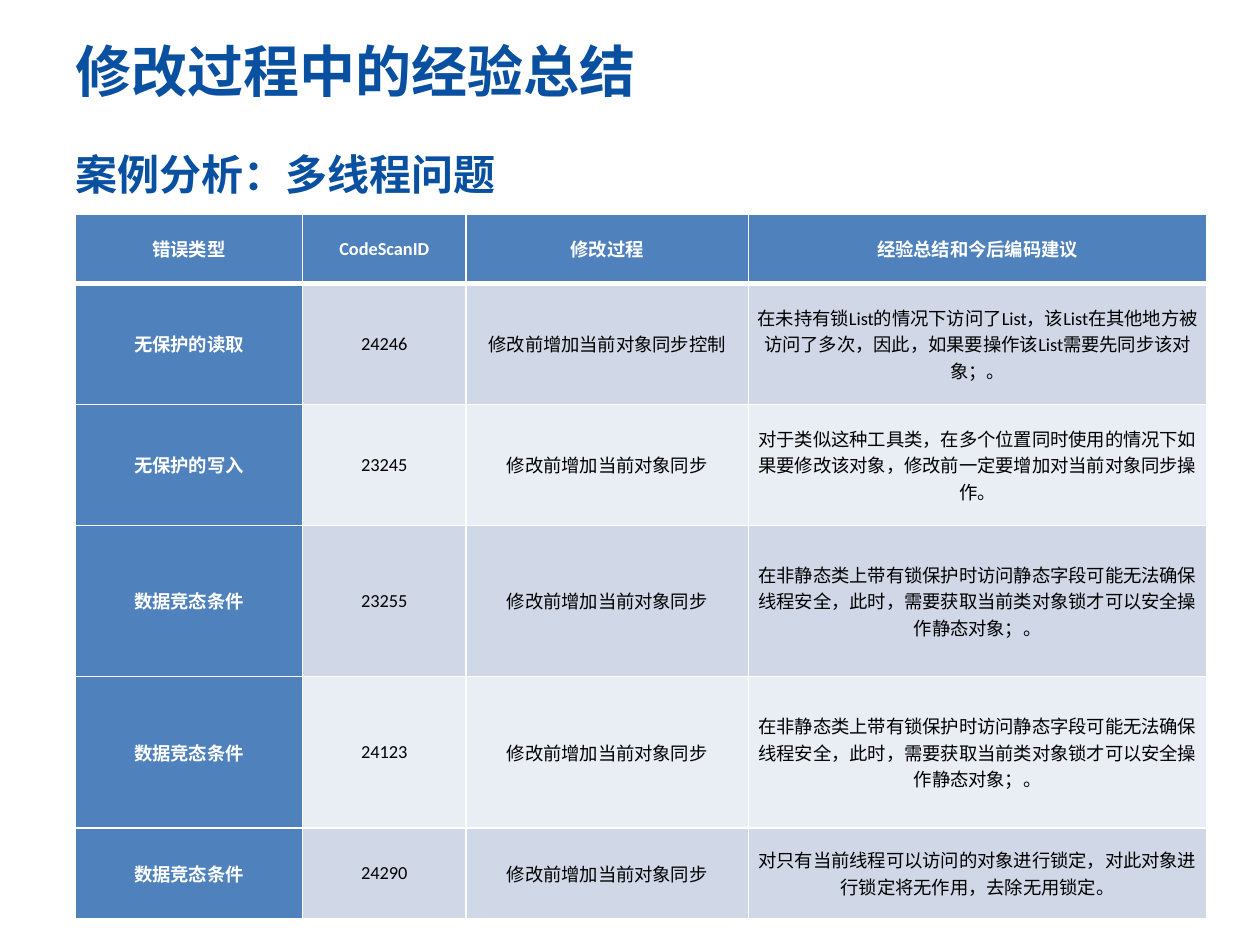
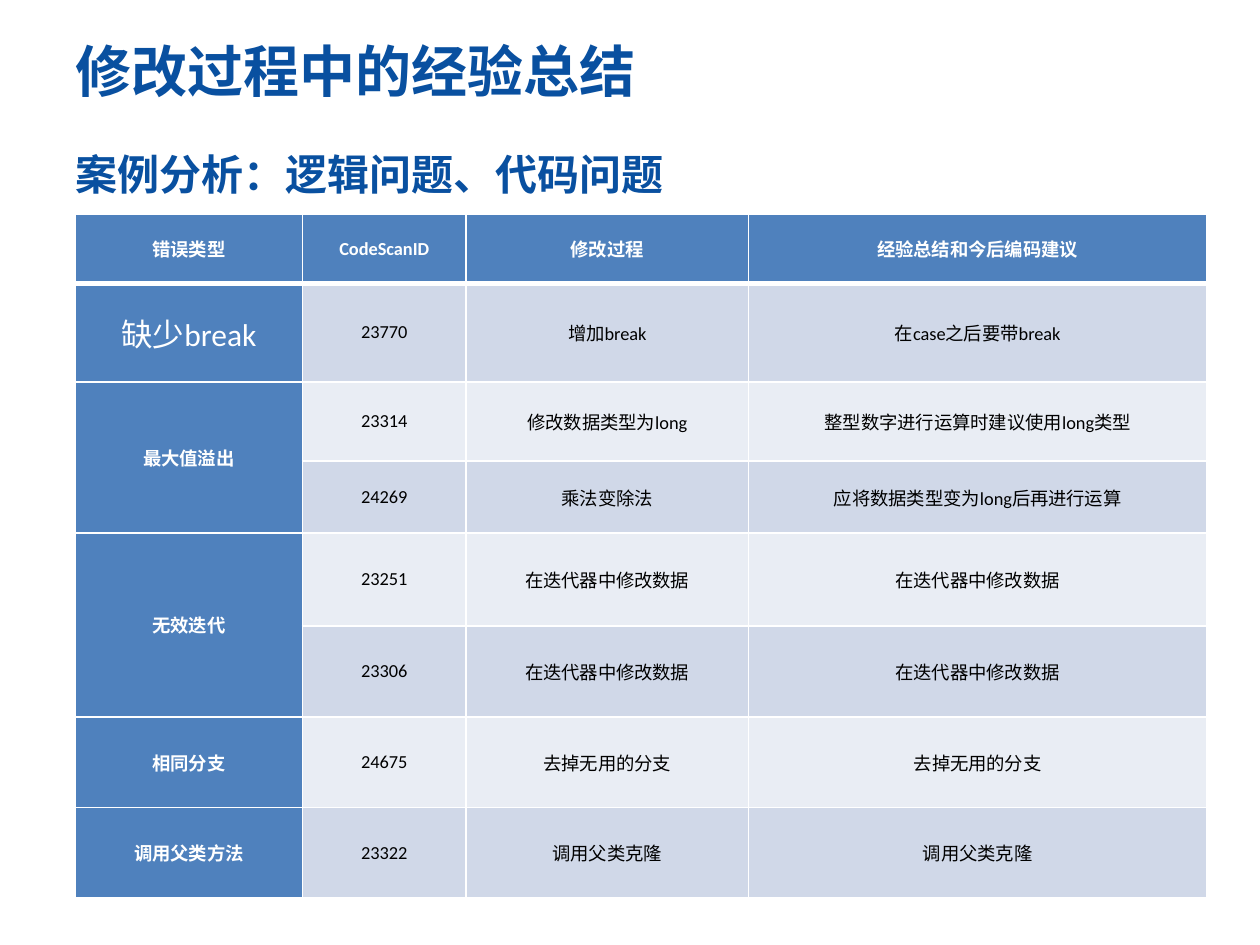
from lxml.etree import SubElement
from pptx import Presentation
from pptx.dml.color import RGBColor
from pptx.enum.text import MSO_ANCHOR as Anchor, PP_ALIGN as Align
from pptx.oxml.ns import qn
from pptx.util import Inches, Pt

HEADING = "修改过程中的经验总结"
COLUMNS = ["错误类型", "CodeScanID", "修改过程", "经验总结和今后编码建议"]
COLUMN_WIDTHS = [1.8, 1.3, 2.24, 3.64]
HEADER_HEIGHT = 0.55

SYNC = "修改前增加当前对象同步"
STATIC_LOCK = (
    "在非静态类上带有锁保护时访问静态字段可能无法确保线程安全，"
    "此时，需要获取当前类对象锁才可以安全操作静态对象；。"
)
ITERATOR = "在迭代器中修改数据"
BRANCH = "去掉无用的分支"
CLONE = "调用父类克隆"

THREAD_CASES = [
    (0.96, "无保护的读取", "24246", "修改前增加当前对象同步控制",
     "在未持有锁List的情况下访问了List，该List在其他地方被访问了多次，"
     "因此，如果要操作该List需要先同步该对象；。"),
    (0.96, "无保护的写入", "23245", SYNC,
     "对于类似这种工具类，在多个位置同时使用的情况下如果要修改该对象，"
     "修改前一定要增加对当前对象同步操作。"),
    (1.2, "数据竞态条件", "23255", SYNC, STATIC_LOCK),
    (1.2, "数据竞态条件", "24123", SYNC, STATIC_LOCK),
    (0.72, "数据竞态条件", "24290", SYNC,
     "对只有当前线程可以访问的对象进行锁定，对此对象进行锁定将无作用，去除无用锁定。"),
]
LOGIC_CASES = [
    (0.78, "缺少break", "23770", "增加break", "在case之后要带break"),
    (0.63, "最大值溢出", "23314", "修改数据类型为long", "整型数字进行运算时建议使用long类型"),
    (0.57, None, "24269", "乘法变除法", "应将数据类型变为long后再进行运算"),
    (0.74, "无效迭代", "23251", ITERATOR, ITERATOR),
    (0.72, None, "23306", ITERATOR, ITERATOR),
    (0.72, "相同分支", "24675", BRANCH, BRANCH),
    (0.72, "调用父类方法", "23322", CLONE, CLONE),
]
LARGE_TYPES = {"缺少break"}


def color(value):
    return RGBColor.from_string(value)


class CaseDeck:
    TITLE, ACCENT, WHITE, BLACK = "0950A0", "4F81BD", "FFFFFF", "000000"
    BANDS = ["E9EDF4", "D0D8E8"]
    LATIN, CJK = "Calibri", "Noto Sans CJK SC"

    def __init__(self):
        self.presentation = Presentation()
        self.presentation.slide_width = Inches(10)
        self.presentation.slide_height = Inches(7.5)
        self.slide = None

    def add_slide(self):
        self.slide = self.presentation.slides.add_slide(self.presentation.slide_layouts[6])

    def add_run(self, paragraph, text, size, ink, bold, latin):
        run = paragraph.add_run()
        run.text = text
        run.font.size = Pt(size)
        run.font.bold = bold
        run.font.name = latin
        run.font.color.rgb = color(ink)
        SubElement(run.font._element, qn("a:ea"), typeface=self.CJK)

    def add_heading(self, text, top, height, size, anchor, spacing=1.0):
        frame = self.slide.shapes.add_textbox(
            Inches(0.5), Inches(top), Inches(9), Inches(height)).text_frame
        frame.word_wrap = True
        frame.vertical_anchor = anchor
        frame.paragraphs[0].line_spacing = spacing
        self.add_run(frame.paragraphs[0], text, size, self.TITLE, True, self.CJK)

    def add_borders(self, cell, top, bottom):
        properties = cell._tc.get_or_add_tcPr()
        for side, width in (("L", 1), ("R", 1), ("T", top), ("B", bottom)):
            line = SubElement(properties, qn(f"a:ln{side}"), w=str(Pt(width)))
            fill = SubElement(line, qn("a:solidFill"))
            SubElement(fill, qn("a:srgbClr"), val=self.WHITE)

    def fill_cell(self, cell, text, row, column):
        self.add_borders(cell, 3 if row == 1 else 1, 3 if row == 0 else 1)
        label = row == 0 or column == 0
        cell.fill.solid()
        cell.fill.fore_color.rgb = color(self.ACCENT if label else self.BANDS[row % 2])
        cell.vertical_anchor = Anchor.MIDDLE
        cell.margin_left = cell.margin_right = Inches(0.07)
        cell.margin_top = cell.margin_bottom = 0
        if text is None:
            return
        large = text in LARGE_TYPES
        paragraph = cell.text_frame.paragraphs[0]
        paragraph.alignment = Align.CENTER
        self.add_run(paragraph, text, 18 if large else 10.5,
                     self.WHITE if label else self.BLACK, label and not large, self.LATIN)

    def add_case_table(self, cases):
        rows = [(HEADER_HEIGHT, *COLUMNS), *cases]
        table = self.slide.shapes.add_table(
            len(rows), len(COLUMNS), Inches(0.6), Inches(1.7),
            Inches(sum(COLUMN_WIDTHS)), Inches(sum(row[0] for row in rows))).table
        table.first_col = True
        for column, width in enumerate(COLUMN_WIDTHS):
            table.columns[column].width = Inches(width)
        for index, (height, *texts) in enumerate(rows):
            table.rows[index].height = Inches(height)
            for column, text in enumerate(texts):
                self.fill_cell(table.cell(index, column), text, index, column)
            if texts[0] is None:
                table.cell(index - 1, 0).merge(table.cell(index, 0))

    def add_case_slide(self, topic, cases):
        self.add_slide()
        self.add_heading(HEADING, 0.05, 1.02, 32, Anchor.MIDDLE)
        self.add_heading(f"案例分析：{topic}", 0.99, 5.75, 24, Anchor.TOP, 1.35)
        self.add_case_table(cases)


def main():
    deck = CaseDeck()
    deck.add_case_slide("多线程问题", THREAD_CASES)
    deck.add_case_slide("逻辑问题、代码问题", LOGIC_CASES)
    deck.presentation.save("out.pptx")


if __name__ == "__main__":
    main()
